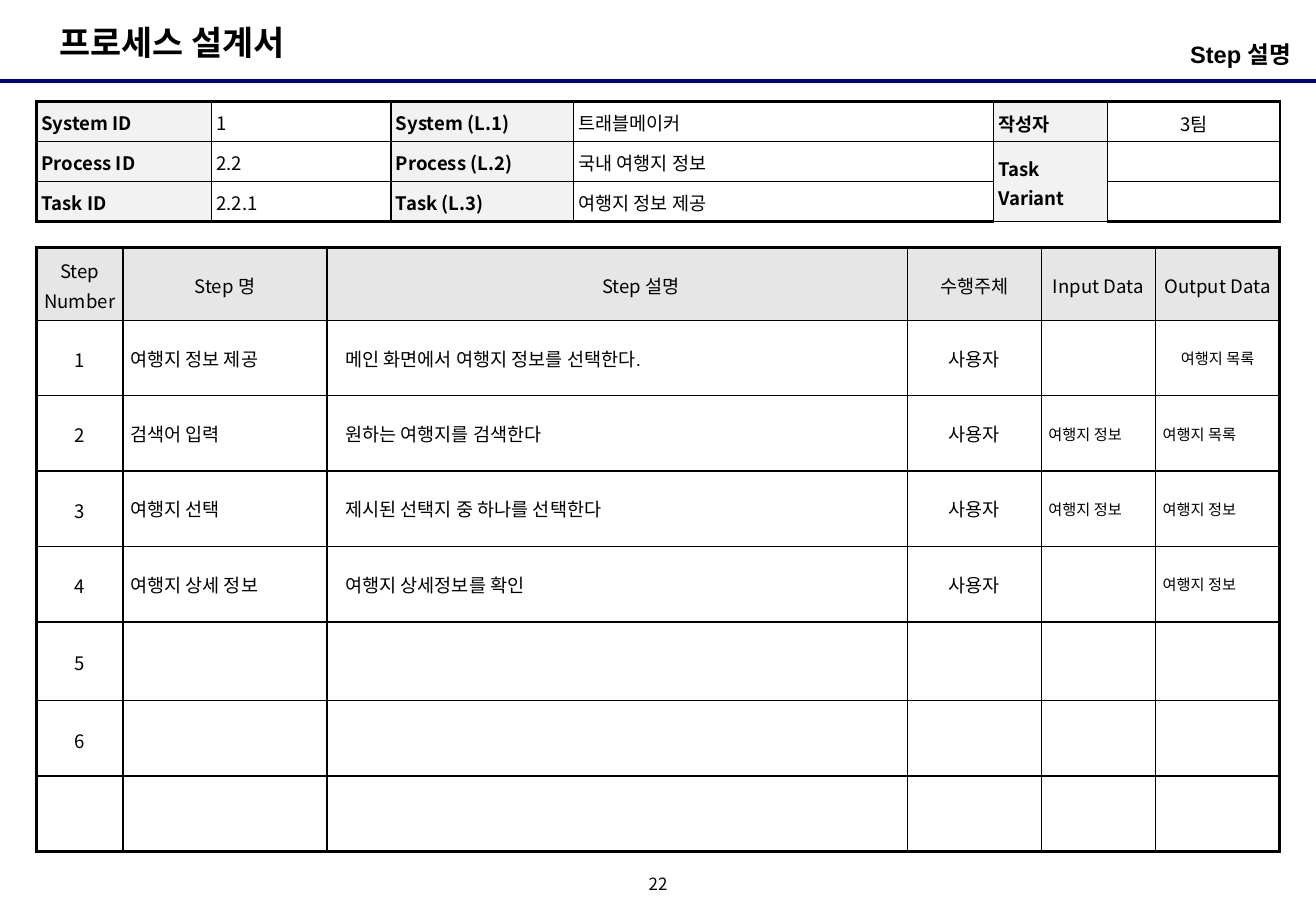
from pptx import Presentation
from pptx.dml.color import RGBColor
from pptx.enum.shapes import MSO_CONNECTOR
from pptx.enum.text import MSO_ANCHOR as ANCHOR, PP_ALIGN as ALIGN
from pptx.oxml import parse_xml
from pptx.oxml.ns import nsdecls, qn
from pptx.util import Pt

BLACK = RGBColor(0x00, 0x00, 0x00)
NAVY = RGBColor(0x00, 0x00, 0x80)
LABEL_GRAY = RGBColor(0xF2, 0xF2, 0xF2)
HEADER_GRAY = RGBColor(0xE6, 0xE6, 0xE6)
KOREAN = "Noto Sans CJK KR"
LATIN = "Arial"
SLIDE_W, SLIDE_H = 780, 540

INFO_COLS = [103.7, 106.5, 108, 249.1, 67.7, 102.2]
INFO_ROWS = [23.7] * 3
INFO = [
    ["System ID", "1", "System (L.1)", "트래블메이커", "작성자", "3팀"],
    ["Process ID", "2.2", "Process (L.2)", "국내 여행지 정보", "Task Variant", ""],
    ["Task ID", "2.2.1", "Task (L.3)", "여행지 정보 제공", "", ""],
]

STEP_COLS = [51, 121, 344.2, 79.2, 67.7, 73.6]
STEP_ROWS = [43.2] + [44.7] * 4 + [46.8] + [44.7] * 2
STEP_HEADS = ["Step Number", "Step 명", "Step 설명", "수행주체", "Input Data", "Output Data"]
STEPS = [
    ["1", "여행지 정보 제공", "메인 화면에서 여행지 정보를 선택한다.", "사용자", "", "여행지 목록"],
    ["2", "검색어 입력", "원하는 여행지를 검색한다", "사용자", "여행지 정보", "여행지 목록"],
    ["3", "여행지 선택", "제시된 선택지 중 하나를 선택한다", "사용자", "여행지 정보", "여행지 정보"],
    ["4", "여행지 상세 정보", "여행지 상세정보를 확인", "사용자", "", "여행지 정보"],
    ["5"] + [""] * 5,
    ["6"] + [""] * 5,
    [""] * 6,
]


def add_text(p, text, size, font=KOREAN, bold=False, align=ALIGN.LEFT, spacing=None, indent=0):
    p.alignment = align
    if spacing:
        p.line_spacing = spacing
    if indent:
        pPr = p._p.get_or_add_pPr()
        pPr.set("marL", str(Pt(indent)))
        pPr.set("indent", "0")
    if not text:
        p._p.get_or_add_endParaRPr().set("sz", str(size * 100))
        return
    r = p.add_run()
    r.text = text
    r.font.size, r.font.bold, r.font.name = Pt(size), bold, font
    r.font.color.rgb = BLACK
    r.font._element.find(qn("a:latin")).addnext(
        parse_xml(f'<a:ea {nsdecls("a")} typeface="{KOREAN}"/>'))


def set_frame(tf, inset_x, inset_y, anchor=ANCHOR.TOP, wrap=True):
    tf.margin_left = tf.margin_right = Pt(inset_x)
    tf.margin_top = tf.margin_bottom = Pt(inset_y)
    tf.vertical_anchor = anchor
    tf.word_wrap = wrap


def set_borders(cell, widths):
    """Widths in points for left, right, top and bottom."""
    tcPr = cell._tc.get_or_add_tcPr()
    for i, (side, width) in enumerate(zip("LRTB", widths)):
        tcPr.insert(i, parse_xml(
            f'<a:ln{side} {nsdecls("a")} w="{Pt(width)}"><a:solidFill>'
            f'<a:srgbClr val="{BLACK}"/></a:solidFill></a:ln{side}>'))


def add_grid(slide, x, y, cols, rows, inset, outer):
    """Plain table with a heavier outer frame."""
    table = slide.shapes.add_table(len(rows), len(cols), Pt(x), Pt(y),
                                   Pt(sum(cols)), Pt(sum(rows))).table
    table.first_row = table.horz_banding = False
    for col, width in zip(table.columns, cols):
        col.width = Pt(width)
    for row, height in zip(table.rows, rows):
        row.height = Pt(height)
    last_row, last_col = len(rows) - 1, len(cols) - 1
    for i in range(len(rows)):
        for j in range(len(cols)):
            cell = table.cell(i, j)
            cell.margin_left = cell.margin_right = Pt(inset)
            cell.margin_top = cell.margin_bottom = Pt(2.9)
            cell.fill.background()
            on_edge = (j == 0, j == last_col, i == 0, i == last_row)
            set_borders(cell, [outer if edge else 1 for edge in on_edge])
    return table


def shade(cell, color):
    cell.fill.solid()
    cell.fill.fore_color.rgb = color


def build_heading(slide, x, y, w, h):
    # Document title
    title = slide.shapes.title
    title.left, title.top, title.width, title.height = Pt(x + 28), Pt(y + 9.4), Pt(163), Pt(32)
    set_frame(title.text_frame, 7.2, 3.6, wrap=False)
    add_text(title.text_frame.paragraphs[0], "프로세스 설계서", 20, LATIN, True)
    # Section name
    sp = slide.shapes.add_textbox(Pt(x + w - 248), Pt(y + 20), Pt(233.5), Pt(28))
    set_frame(sp.text_frame, 0, 3.6)
    add_text(sp.text_frame.paragraphs[0], "Step 설명", 14, LATIN, True, ALIGN.RIGHT)
    # Rule under the heading
    rule = slide.shapes.add_connector(MSO_CONNECTOR.STRAIGHT, Pt(x), Pt(y + h), Pt(x + w), Pt(y + h))
    rule.line.color.rgb = NAVY
    rule.line.width = Pt(2.25)
    rule._element.spPr.append(parse_xml(f'<a:effectLst {nsdecls("a")}/>'))


def build_info_table(slide, x, y):
    table = add_grid(slide, x, y, INFO_COLS, INFO_ROWS, 2.9, 1.5)
    table.cell(1, 4).merge(table.cell(2, 4))
    for i, texts in enumerate(INFO):
        for j, text in enumerate(texts):
            cell = table.cell(i, j)
            is_label = j % 2 == 0
            if is_label:
                shade(cell, LABEL_GRAY)
            if j >= 4:
                cell.vertical_anchor = ANCHOR.MIDDLE
            add_text(cell.text_frame.paragraphs[0], text, 11, bold=is_label,
                     align=ALIGN.CENTER if j == 5 else ALIGN.LEFT, spacing=1.1)


def build_step_table(slide, x, y):
    table = add_grid(slide, x, y, STEP_COLS, STEP_ROWS, 4.3, 2.25)
    # Header row
    for j, text in enumerate(STEP_HEADS):
        cell = table.cell(0, j)
        shade(cell, HEADER_GRAY)
        cell.vertical_anchor = ANCHOR.MIDDLE
        add_text(cell.text_frame.paragraphs[0], text, 11, align=ALIGN.CENTER,
                 spacing=1.1, indent=28 if j == 2 else 0)
    # Step rows
    for i, texts in enumerate(STEPS, 1):
        for j, text in enumerate(texts):
            cell = table.cell(i, j)
            cell.vertical_anchor = ANCHOR.MIDDLE
            centered = j in (0, 3) or (i, j) == (1, 5)
            add_text(cell.text_frame.paragraphs[0], text, 9 if j >= 4 else 11,
                     KOREAN if j in (0, 3) else LATIN,
                     align=ALIGN.CENTER if centered else ALIGN.LEFT,
                     spacing=1.1 if j == 0 else None, indent=6.5 if j == 2 else 0)


def build_page_number(slide, x, y, w, h):
    sp = slide.shapes.add_textbox(Pt(x), Pt(y), Pt(w), Pt(h))
    set_frame(sp.text_frame, 0, 0, ANCHOR.MIDDLE)
    add_text(sp.text_frame.paragraphs[0], "22", 10, align=ALIGN.CENTER, spacing=0.8)


def main():
    prs = Presentation()
    prs.slide_width, prs.slide_height = Pt(SLIDE_W), Pt(SLIDE_H)
    slide = prs.slides.add_slide(prs.slide_layouts[5])
    build_heading(slide, 0, 0, SLIDE_W, 48)
    build_step_table(slide, 21.8, 146.7)
    build_info_table(slide, 21.6, 60.2)
    build_page_number(slide, 378, 516, 24, 18)
    prs.save("out.pptx")


if __name__ == "__main__":
    main()
